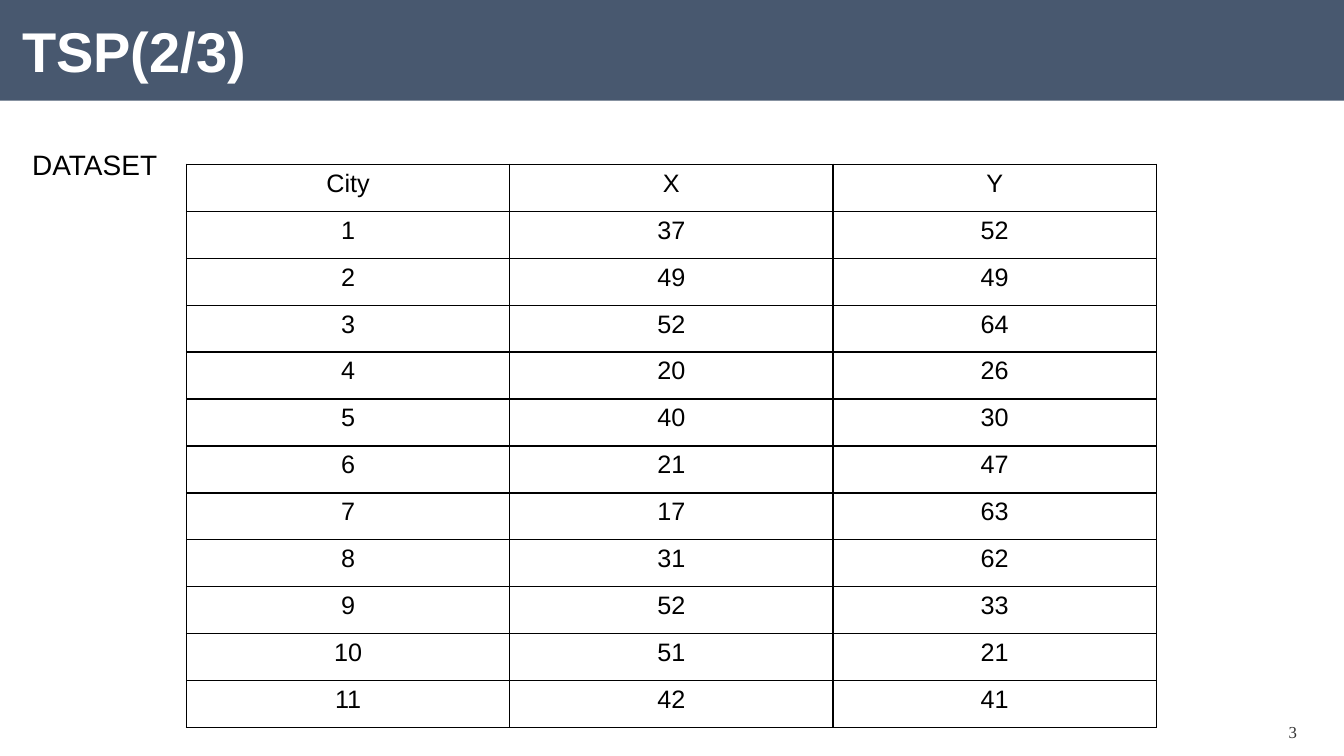
from typing import NamedTuple

from lxml.etree import SubElement
from pptx import Presentation
from pptx.dml.color import RGBColor
from pptx.enum.shapes import MSO_SHAPE as Preset
from pptx.enum.text import MSO_ANCHOR as Anchor, MSO_AUTO_SIZE as AutoSize, PP_ALIGN as Align
from pptx.oxml.ns import qn
from pptx.util import Cm, Pt

COLORS = {"band": "48586F", "white": "FFFFFF", "black": "000000", "number": "333333"}


class Style(NamedTuple):
    size: int
    color: str
    font: str = "Arial"
    bold: bool = False
    align: Align = Align.LEFT


class Label(NamedTuple):
    text: str
    left: float
    top: float
    width: float
    height: float
    wrap: bool
    style: Style


class City(NamedTuple):
    number: int
    x: int
    y: int


TITLE = Style(40, "white", bold=True)
CELL = Style(18, "black", align=Align.CENTER)
LABELS = [
    Label("3", 31.04, 18.06, 3.1, 0.71, True,
          Style(12, "number", "Times New Roman", align=Align.CENTER)),
    Label("DATASET", 0.56, 3.58, 3.7, 1.12, False, Style(20, "black")),
]
CITIES = [
    City(1, 37, 52), City(2, 49, 49), City(3, 52, 64), City(4, 20, 26),
    City(5, 40, 30), City(6, 21, 47), City(7, 17, 63), City(8, 31, 62),
    City(9, 52, 33), City(10, 51, 21), City(11, 42, 41),
]


def rgb(name: str) -> RGBColor:
    return RGBColor.from_string(COLORS[name])


def write(frame, text: str, style: Style) -> None:
    frame.text = text
    para = frame.paragraphs[0]
    para.alignment = style.align
    para.font.name = style.font
    para.font.size = Pt(style.size)
    para.font.bold = style.bold
    para.font.color.rgb = rgb(style.color)


def add_band(page) -> None:
    band = page.shapes.add_shape(Preset.RECTANGLE, 0, 0, Cm(33.88), Cm(2.54))
    band.shadow.inherit = False
    band.fill.solid()
    band.fill.fore_color.rgb = rgb("band")
    band.line.fill.background()
    page.shapes.title.element.addprevious(band.element)


def fill_title(page, text: str) -> None:
    title = page.shapes.title
    title.left, title.top, title.width, title.height = Cm(0.56), Cm(0.43), Cm(28.55), Cm(1.88)
    frame = title.text_frame
    frame.margin_left = frame.margin_right = frame.margin_top = frame.margin_bottom = 0
    frame.vertical_anchor = Anchor.MIDDLE
    frame.auto_size = AutoSize.NONE
    write(frame, text, TITLE)
    frame.paragraphs[0].line_spacing = 0.9


def add_label(page, label: Label) -> None:
    box = page.shapes.add_textbox(Cm(label.left), Cm(label.top), Cm(label.width), Cm(label.height))
    box.text_frame.word_wrap = label.wrap
    write(box.text_frame, label.text, label.style)


def add_borders(cell) -> None:
    properties = cell._tc.get_or_add_tcPr()
    for position, side in enumerate(("lnL", "lnR", "lnT", "lnB")):
        line = SubElement(properties, qn(f"a:{side}"), w=str(Pt(1)))
        color = SubElement(SubElement(line, qn("a:solidFill")), qn("a:srgbClr"))
        color.set("val", COLORS["black"])
        properties.insert(position, line)


def add_city_table(page) -> None:
    rows = [("City", "X", "Y"), *CITIES]
    width, height = Cm(24.45), Cm(14.2)
    table = page.shapes.add_table(len(rows), 3, Cm(4.7), Cm(4.14), width, height).table
    table.horz_banding = table.first_row = False
    for row, values in zip(table.rows, rows):
        row.height = height // len(rows)
        for cell, value in zip(row.cells, values):
            cell.fill.solid()
            cell.fill.fore_color.rgb = rgb("white")
            write(cell.text_frame, str(value), CELL)
            add_borders(cell)


deck = Presentation()
deck.slide_width, deck.slide_height = Cm(33.88), Cm(19.05)
page = deck.slides.add_slide(deck.slide_layouts[5])
add_band(page)
fill_title(page, "TSP(2/3)")
add_city_table(page)
for label in LABELS:
    add_label(page, label)
deck.save("out.pptx")
